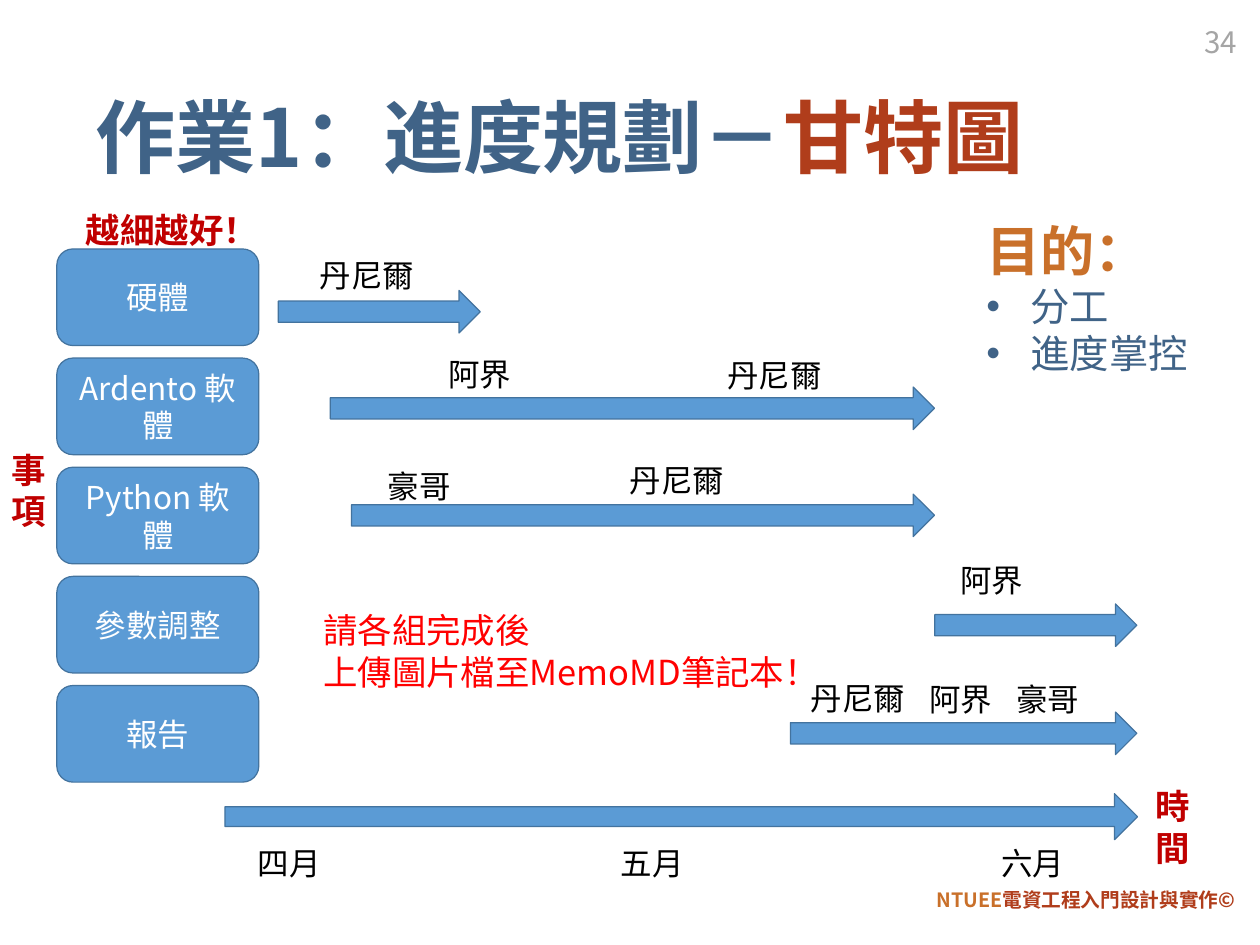
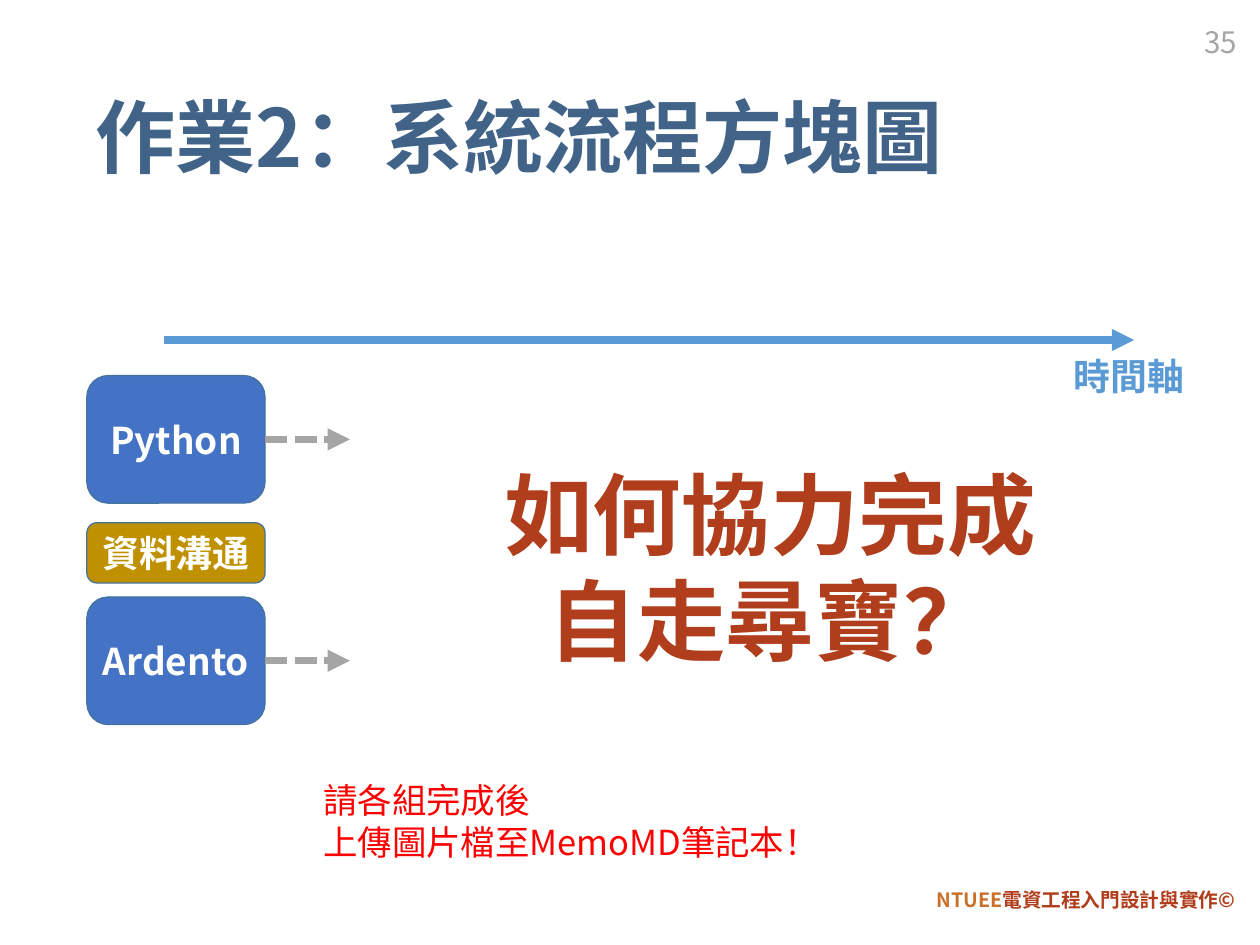
"""Build the two homework slides: a Gantt chart and a system flow diagram."""
from dataclasses import dataclass

import lxml.etree
import pptx
import pptx.dml.color
import pptx.enum.dml
import pptx.enum.shapes
import pptx.enum.text
import pptx.oxml.ns
import pptx.util

Cm = pptx.util.Cm
Pt = pptx.util.Pt
qn = pptx.oxml.ns.qn
Align = pptx.enum.text.PP_ALIGN
Anchor = pptx.enum.text.MSO_ANCHOR
AutoSize = pptx.enum.text.MSO_AUTO_SIZE
Preset = pptx.enum.shapes.MSO_SHAPE

SANS_SC = "Noto Sans CJK SC"
SANS_TC = "Noto Sans CJK TC"
NAVY, RUST, ORANGE = "406387", "B03D1B", "C9702A"
BLUE, OUTLINE, ROYAL, GOLD = "5B9BD5", "43739E", "4472C4", "BF9000"
GRAY, BLACK, WHITE, CRIMSON, RED = "A5A5A5", "000000", "FFFFFF", "C00000", "FF0000"


@dataclass(frozen=True)
class Style:
    size: float
    color: str
    bold: bool = False
    font: str = SANS_TC
    align: Align = Align.LEFT


@dataclass(frozen=True)
class Box:
    left: float
    top: float
    width: float
    height: float


@dataclass(frozen=True)
class Span:
    text: str
    color: str


@dataclass(frozen=True)
class Label:
    text: str
    left: float
    top: float


TITLE = Style(65, NAVY, True, SANS_SC)
FOOTER = Style(16, RUST, True, align=Align.RIGHT)
PAGE_NUMBER = Style(24, GRAY, align=Align.RIGHT)
TASK = Style(25.6, WHITE, align=Align.CENTER)
PERSON = Style(25.6, BLACK)
AXIS = Style(28, CRIMSON, True, SANS_SC)
NOTE = Style(28, RED)
HEADING = Style(44, ORANGE, True)
BULLET = Style(32, NAVY)
BLOCK = Style(30, WHITE, True, align=Align.CENTER)
TIME_AXIS = Style(30, BLUE, True)
QUESTION = Style(72, RUST, True, SANS_SC, Align.CENTER)

TASKS = ["硬體", "Ardento 軟體", "Python 軟體", "參數調整", "報告"]
TASK_TOP, TASK_PITCH = 7.14, 3.13
BARS = [
    Box(7.98, 8.33, 5.79, 1.22),
    Box(9.47, 11.1, 17.32, 1.22),
    Box(10.08, 14.17, 16.71, 1.22),
    Box(26.8, 17.32, 5.79, 1.22),
    Box(22.66, 20.42, 9.93, 1.22),
]
TIMELINE = Box(6.45, 22.76, 26.16, 1.32)
LABELS = [
    Label("四月", 7.14, 24.08),
    Label("五月", 17.55, 24.08),
    Label("六月", 28.45, 24.08),
    Label("丹尼爾", 8.92, 7.21),
    Label("阿界", 12.6, 10.06),
    Label("丹尼爾", 20.6, 10.08),
    Label("豪哥", 10.87, 13.28),
    Label("丹尼爾", 17.81, 13.11),
    Label("阿界", 27.28, 15.95),
    Label("丹尼爾", 22.99, 19.35),
    Label("阿界", 26.39, 19.38),
    Label("豪哥", 28.88, 19.38),
]
BLOCKS = [
    ("Python", ROYAL, Box(2.49, 10.77, 5.11, 3.66)),
    ("資料溝通", GOLD, Box(2.49, 14.99, 5.11, 1.73)),
    ("Ardento", ROYAL, Box(2.49, 17.12, 5.11, 3.66)),
]


def rgb(color: str) -> pptx.dml.color.RGBColor:
    return pptx.dml.color.RGBColor.from_string(color)


def place(shape, box: Box) -> None:
    shape.left, shape.top = Cm(box.left), Cm(box.top)
    shape.width, shape.height = Cm(box.width), Cm(box.height)


def write(paragraph, content: str | list[Span], style: Style) -> None:
    paragraph.alignment = style.align
    font = paragraph.font
    font.size, font.bold, font.name = Pt(style.size), style.bold, style.font
    font.color.rgb = rgb(style.color)
    if isinstance(content, str):
        paragraph.add_run().text = content
    else:
        for span in content:
            run = paragraph.add_run()
            run.text = span.text
            run.font.color.rgb = rgb(span.color)
    for latin in list(paragraph._p.iter(qn("a:latin"))):
        east_asian = lxml.etree.Element(qn("a:ea"), typeface=style.font)
        latin.addnext(east_asian)


def add_text(slide, lines: list, box: Box, style: Style, wrap: bool = False,
             anchor: Anchor = Anchor.TOP):
    shape = slide.shapes.add_textbox(0, 0, 0, 0)
    place(shape, box)
    frame = shape.text_frame
    frame.word_wrap = wrap
    frame.vertical_anchor = anchor
    frame.auto_size = AutoSize.SHAPE_TO_FIT_TEXT if anchor == Anchor.TOP else AutoSize.NONE
    for index, line in enumerate(lines):
        paragraph = frame.add_paragraph() if index else frame.paragraphs[0]
        write(paragraph, line, style)
    return shape


def add_block(slide, preset: Preset, box: Box, fill: str, text: str = "",
              style: Style = TASK):
    shape = slide.shapes.add_shape(preset, 0, 0, 0, 0)
    place(shape, box)
    shape.shadow.inherit = False
    shape.fill.solid()
    shape.fill.fore_color.rgb = rgb(fill)
    shape.line.color.rgb = rgb(OUTLINE)
    shape.line.width = Pt(1)
    if text:
        shape.text_frame.vertical_anchor = Anchor.MIDDLE
        write(shape.text_frame.paragraphs[0], text, style)
    return shape


def add_arrow(slide, start: float, end: float, top: float, color: str,
              dashed: bool = False) -> None:
    connector = slide.shapes.add_connector(
        pptx.enum.shapes.MSO_CONNECTOR.STRAIGHT, Cm(start), Cm(top), Cm(end), Cm(top))
    connector.line.color.rgb = rgb(color)
    connector.line.width = Pt(6)
    if dashed:
        connector.line.dash_style = pptx.enum.dml.MSO_LINE.SQUARE_DOT
    properties = connector._element.spPr
    lxml.etree.SubElement(properties.find(qn("a:ln")), qn("a:tailEnd"), type="triangle")
    lxml.etree.SubElement(properties, qn("a:effectLst"))


def add_slide(presentation, layout: int, title: str | list[Span], number: int):
    slide = presentation.slides.add_slide(presentation.slide_layouts[layout])
    footer = add_text(
        slide, [[Span("NTUEE", ORANGE), Span("電資工程入門設計與實作©", RUST)]],
        Box(25.78, 25.17, 9.88, 1.35), FOOTER, True, Anchor.MIDDLE)
    footer.text_frame.paragraphs[0].line_spacing = 0.9
    place(slide.shapes.title, Box(2.49, 1.45, 31.17, 5.23))
    frame = slide.shapes.title.text_frame
    frame.auto_size = AutoSize.NONE
    frame.vertical_anchor = Anchor.MIDDLE
    frame.paragraphs[0].line_spacing = 0.9
    write(frame.paragraphs[0], title, TITLE)
    add_text(slide, [str(number)], Box(33.71, 0.2, 2, 2), PAGE_NUMBER, True, Anchor.MIDDLE)
    return slide


def add_note(slide, top: float) -> None:
    add_text(slide, ["請各組完成後", "上傳圖片檔至MemoMD筆記本！"],
             Box(9.02, top, 13.97, 2.64), NOTE)


def fill_purpose(body) -> None:
    place(body, Box(28.02, 6.1, 7.11, 4.88))
    frame = body.text_frame
    frame.auto_size = AutoSize.NONE
    for index, line in enumerate(["目的：", "分工", "進度掌控"]):
        paragraph = frame.add_paragraph() if index else frame.paragraphs[0]
        paragraph.space_before = Pt(0)
        properties = paragraph._p.get_or_add_pPr()
        indent = Cm(1.27) if index else 0
        properties.set("marL", str(indent))
        properties.set("indent", str(-indent))
        if not index:
            lxml.etree.SubElement(properties, qn("a:buNone"))
        write(paragraph, line, BULLET if index else HEADING)


def build_gantt(presentation) -> None:
    title = [Span("作業1：進度規劃－", NAVY), Span("甘特圖", RUST)]
    slide = add_slide(presentation, 1, title, 34)
    for index, task in enumerate(TASKS):
        box = Box(1.63, TASK_TOP + index * TASK_PITCH, 5.79, 2.77)
        add_block(slide, Preset.ROUNDED_RECTANGLE, box, BLUE, task)
    for bar in BARS:
        add_block(slide, Preset.RIGHT_ARROW, bar, BLUE)
    timeline = add_block(slide, Preset.RIGHT_ARROW, TIMELINE, BLUE)
    timeline.adjustments[0] = 0.43
    for label in LABELS:
        width = 0.52 + 0.91 * len(label.text)
        add_text(slide, [label.text], Box(label.left, label.top, width, 1.35), PERSON)
    add_text(slide, ["越細越好！"], Box(2.21, 5.87, 5.51, 1.45), AXIS)
    add_text(slide, ["事項"], Box(0.08, 12.75, 1.17, 2.64), AXIS, True)
    add_text(slide, ["時間"], Box(32.87, 22.4, 1.17, 2.64), AXIS, True)
    fill_purpose(slide.placeholders[1])
    add_note(slide, 17.35)


def build_flow(presentation) -> None:
    slide = add_slide(presentation, 5, "作業2：系統流程方塊圖", 35)
    for text, fill, box in BLOCKS:
        add_block(slide, Preset.ROUNDED_RECTANGLE, box, fill, text, BLOCK)
        if fill == ROYAL:
            add_arrow(slide, 7.6, 10.03, box.top + box.height / 2, GRAY, True)
    add_arrow(slide, 4.7, 32.51, 9.75, BLUE)
    add_text(slide, ["時間軸"], Box(30.53, 10.03, 3.78, 1.52), TIME_AXIS)
    add_text(slide, ["如何協力完成自走尋寶？"], Box(13.28, 13.06, 17.6, 6.4), QUESTION, True)
    add_note(slide, 22.23)


def main() -> None:
    presentation = pptx.Presentation()
    presentation.slide_width, presentation.slide_height = Cm(36.12), Cm(27.1)
    build_gantt(presentation)
    build_flow(presentation)
    presentation.save("out.pptx")


if __name__ == "__main__":
    main()
